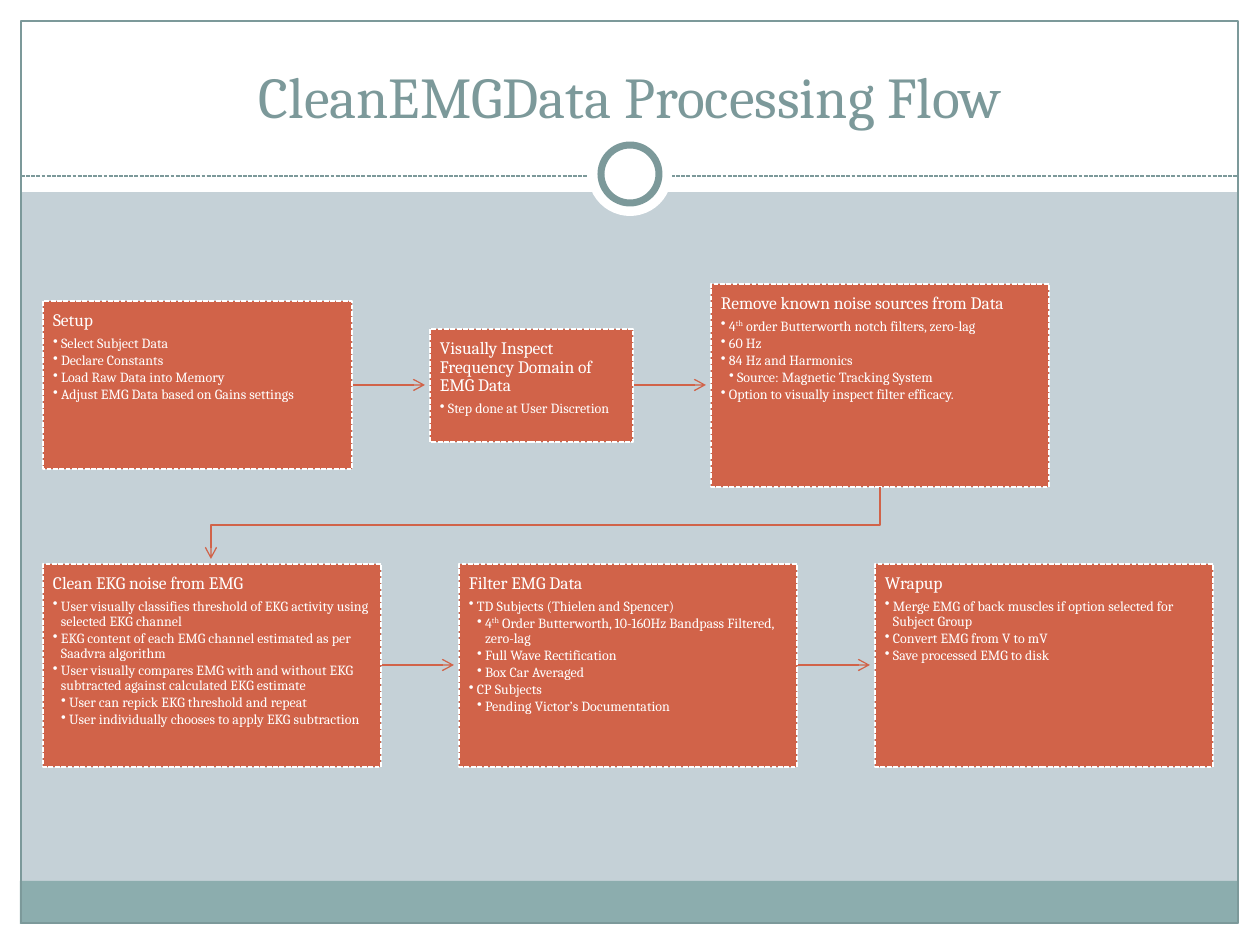
from pptx import Presentation
from pptx.dml.color import RGBColor
from pptx.enum.dml import MSO_LINE
from pptx.enum.shapes import MSO_CONNECTOR, MSO_SHAPE as SHAPE
from pptx.enum.text import MSO_ANCHOR as ANCHOR, PP_ALIGN as ALIGN
from pptx.oxml.ns import qn
from pptx.util import Inches, Pt
from lxml.etree import SubElement

PX = 7257  # EMU per px, 126 px to the inch
WHITE = RGBColor(0xFF, 0xFF, 0xFF)
MIST = RGBColor(0xC5, 0xD1, 0xD7)
TEAL = RGBColor(0x8C, 0xAD, 0xAE)
SLATE = RGBColor(0x7C, 0x99, 0x9A)
RUST = RGBColor(0xD1, 0x63, 0x49)
FONT = "Cambria"
GAP, REACH = 78, 73

# Each step: heading, then (level, text); ^ marks a superscript.
ROWS = [
    (385, [
        (309, 168, "Setup", [
            (1, "Select Subject Data"),
            (1, "Declare Constants"),
            (1, "Load Raw Data into Memory"),
            (1, "Adjust EMG Data based on Gains settings")]),
        (203, 113, "Visually Inspect Frequency Domain of EMG Data", [
            (1, "Step done at User Discretion")]),
        (338, 203, "Remove known noise sources from Data", [
            (1, "4^th^ order Butterworth notch filters, zero-lag"),
            (1, "60 Hz"),
            (1, "84 Hz and Harmonics"),
            (2, "Source: Magnetic Tracking System"),
            (1, "Option to visually inspect filter efficacy.")]),
    ]),
    (665, [
        (338, 203, "Clean EKG noise from EMG", [
            (1, "User visually classifies threshold of EKG activity using selected EKG channel"),
            (1, "EKG content of each EMG channel estimated as per Saadvra algorithm"),
            (1, "User visually compares EMG with and without EKG subtracted against calculated EKG estimate"),
            (2, "User can repick EKG threshold and repeat"),
            (2, "User individually chooses to apply EKG subtraction")]),
        (338, 203, "Filter EMG Data", [
            (1, "TD Subjects (Thielen and Spencer)"),
            (2, "4^th^ Order Butterworth, 10-160Hz Bandpass Filtered, zero-lag"),
            (2, "Full Wave Rectification"),
            (2, "Box Car Averaged"),
            (1, "CP Subjects"),
            (2, "Pending Victor’s Documentation")]),
        (338, 203, "Wrapup", [
            (1, "Merge EMG of back muscles if option selected for Subject Group"),
            (1, "Convert EMG from V to mV"),
            (1, "Save processed EMG to disk")]),
    ]),
]

deck = Presentation()
deck.slide_width, deck.slide_height = Inches(10), Inches(7.5)
slide = deck.slides.add_slide(deck.slide_layouts[6])
slide.background.fill.solid()
slide.background.fill.fore_color.rgb = MIST
shapes = slide.shapes


def add_part(kind, box, fill=None, edge=None, width=0.75):
    part = shapes.add_shape(kind, *(v * PX for v in box))
    part.shadow.inherit = False
    if fill is None:
        part.fill.background()
    else:
        part.fill.solid()
        part.fill.fore_color.rgb = fill
    if edge is None:
        part.line.fill.background()
    else:
        part.line.color.rgb = edge
        part.line.width = Pt(width)
    return part


def style_line(item, color, head=False):
    """Colour a line, drop its shadow and give it an arrowhead if asked."""
    item.line.color.rgb = color
    item.line.width = Pt(0.75)
    if head:
        SubElement(item.line._get_or_add_ln(), qn("a:tailEnd"), type="arrow")
    SubElement(item._element.spPr, qn("a:effectLst"))


# Frame of the page
for box, fill in [
    ((0, 924, 1260, 21), WHITE),
    ((0, 0, 1260, 192), WHITE),
    ((0, 0, 21, 945), WHITE),
    ((1239, 0, 21, 945), WHITE),
    ((20, 881, 1218, 43), TEAL),
]:
    add_part(SHAPE.RECTANGLE, box, fill)
add_part(SHAPE.RECTANGLE, (21, 21, 1217, 902), edge=SLATE)

rule = shapes.add_connector(MSO_CONNECTOR.STRAIGHT, 21 * PX, 176 * PX, 1238 * PX, 176 * PX)
rule.line.dash_style = MSO_LINE.SQUARE_DOT
style_line(rule, SLATE)
add_part(SHAPE.OVAL, (588, 132, 84, 84), WHITE)
add_part(SHAPE.OVAL, (601, 145, 58, 58), WHITE, SLATE, 4)

title = shapes.add_textbox(42 * PX, 32 * PX, 1176 * PX, 104 * PX).text_frame
title.word_wrap = True
title.vertical_anchor = ANCHOR.BOTTOM
para = title.paragraphs[0]
para.text = "CleanEMGData Processing Flow"
para.alignment = ALIGN.CENTER
para.font.name, para.font.size = FONT, Pt(33)
para.font.color.rgb = SLATE

# Steps, centred on each row's middle line
for mid, steps in ROWS:
    left = 43
    for n, (wide, high, name, points) in enumerate(steps):
        right = left + wide
        if n < len(steps) - 1:
            arrow = shapes.add_connector(
                MSO_CONNECTOR.STRAIGHT, right * PX, mid * PX, (right + REACH) * PX, mid * PX)
            style_line(arrow, RUST, head=True)

        step = add_part(SHAPE.RECTANGLE, (left, mid - high // 2, wide, high), RUST, WHITE, 0.9)
        step.line.dash_style = MSO_LINE.SQUARE_DOT
        frame = step.text_frame
        frame.word_wrap = True
        frame.vertical_anchor = ANCHOR.TOP
        frame.margin_left = frame.margin_right = 10 * PX
        frame.margin_top = frame.margin_bottom = 10 * PX

        for i, (level, text) in enumerate([(0, name)] + points):
            para = frame.add_paragraph() if i else frame.paragraphs[0]
            para.alignment = ALIGN.LEFT
            para.line_spacing = 0.9
            para.space_after = Pt(1.2 if level else 3.5)
            para.font.name, para.font.size = FONT, Pt(8 if level else 10)
            para.font.color.rgb = WHITE
            for k, piece in enumerate(text.split("^")):
                run = para.add_run()
                run.text = piece
                if k % 2:
                    run._r.get_or_add_rPr().set("baseline", "30000")
            if level:
                props = para._p.get_or_add_pPr()
                props.set("marL", str(level * 8 * PX))
                props.set("indent", str(-8 * PX))
                bullet = props.makeelement(qn("a:buChar"), {"char": "•"})
                props.find(qn("a:defRPr")).addprevious(bullet)
        left = right + GAP

# Turn from the end of the first row to the start of the second
turn = shapes.build_freeform(880, 487, scale=PX)
turn.add_line_segments([(880, 525), (211, 525), (211, 559)], close=False)
elbow = turn.convert_to_shape()
elbow.fill.background()
style_line(elbow, RUST, head=True)

deck.save("out.pptx")
